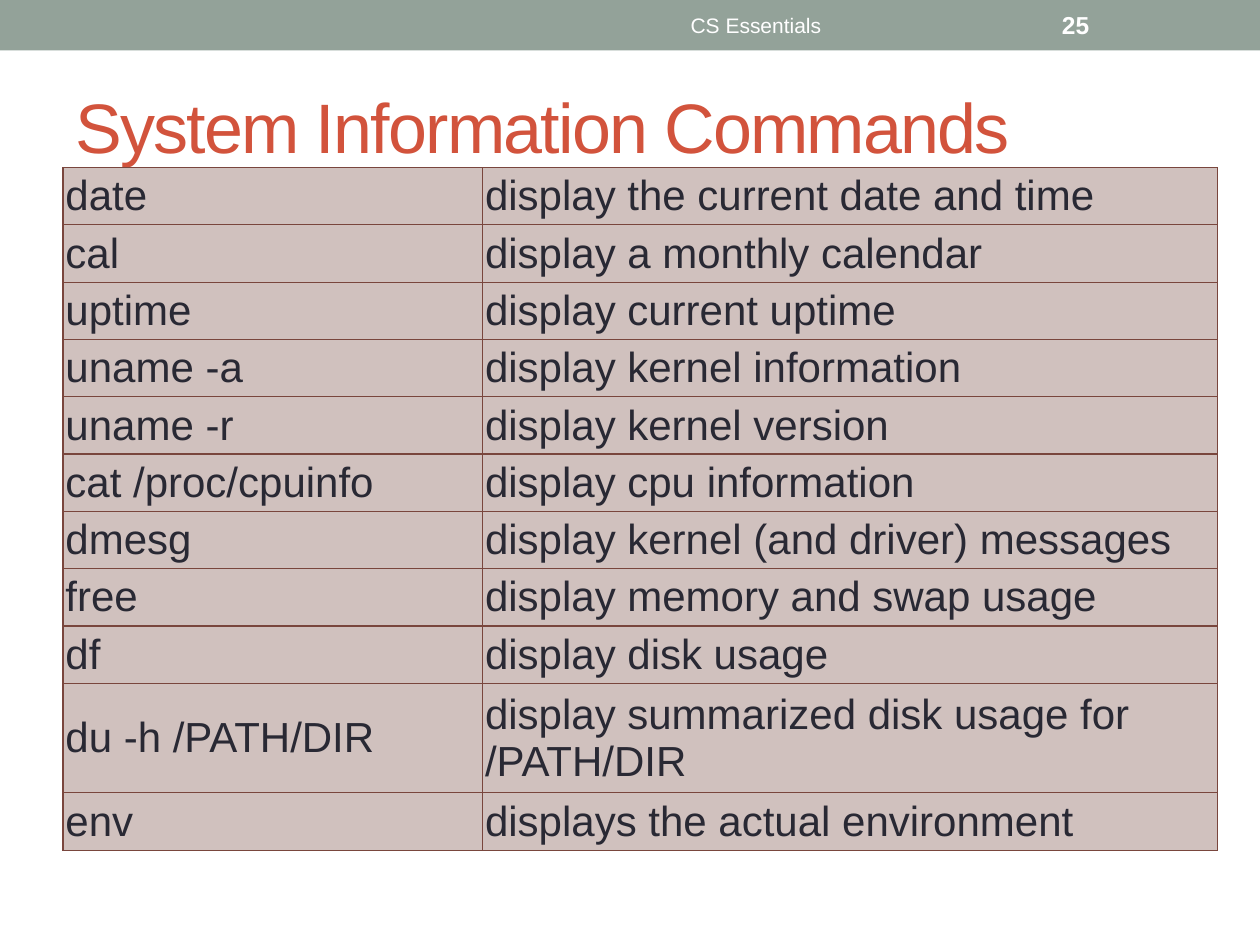
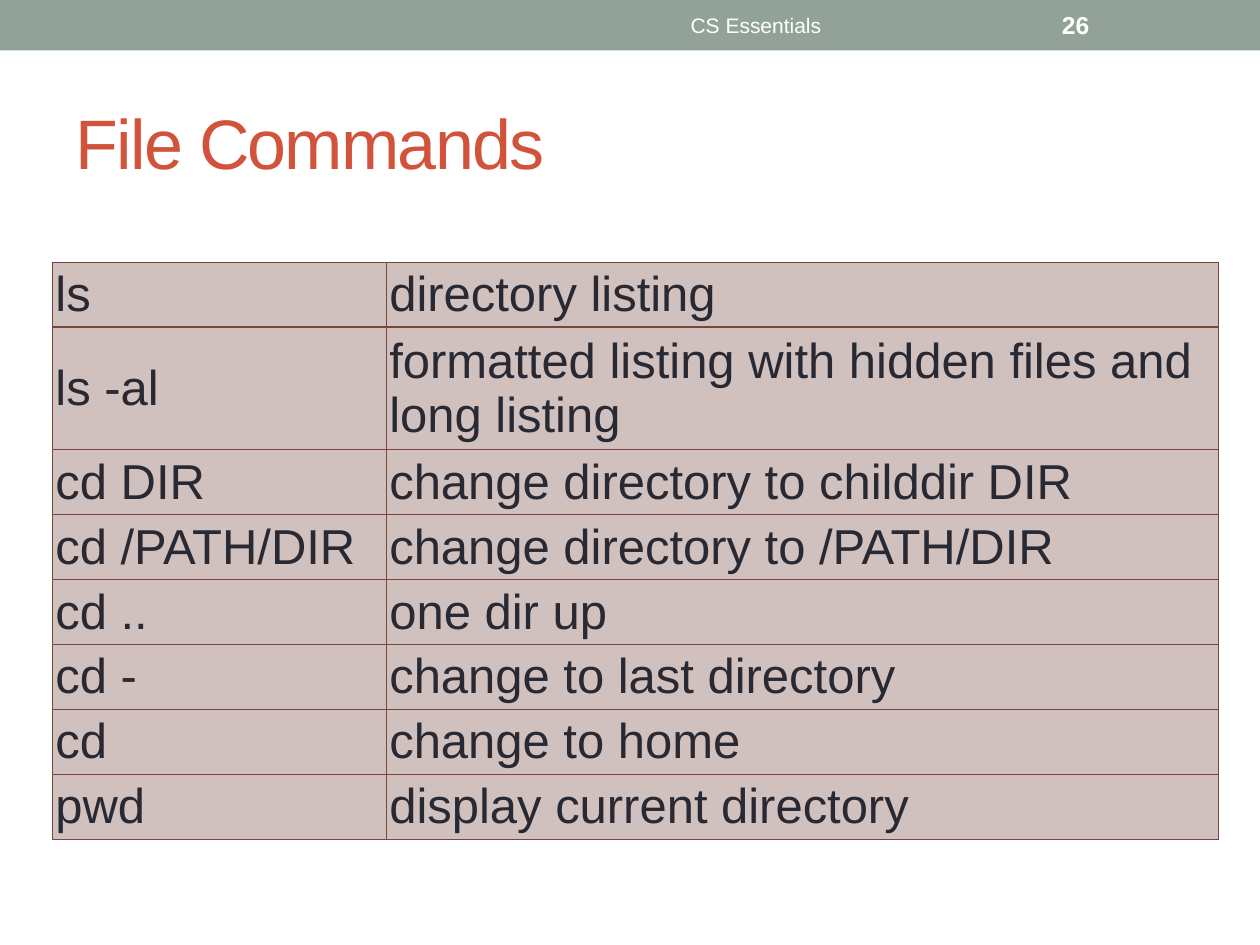
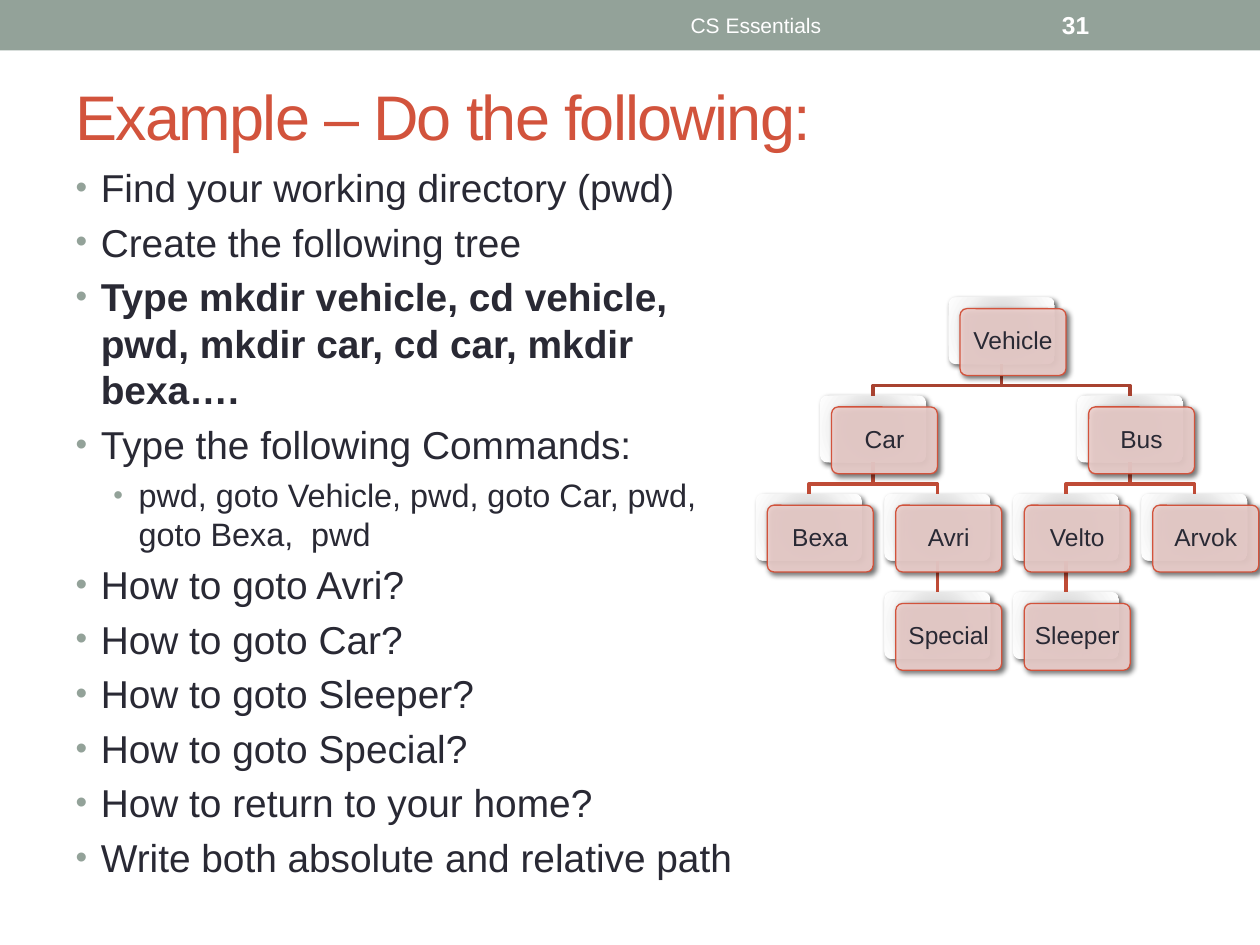
from dataclasses import dataclass

from lxml import etree
from pptx import Presentation
from pptx.dml.color import RGBColor
from pptx.enum import shapes, text
from pptx.oxml.ns import qn
from pptx.util import Inches, Pt


@dataclass(frozen=True)
class Theme:
    font: str = "Arial"
    band: str = "93A299"
    title: str = "D2533C"
    body: str = "292934"
    white: str = "FFFFFF"
    cell: str = "D0C1BE"
    border: str = "79463D"
    card: str = "EED1CE"
    upper_line: str = "A84230"
    lower_line: str = "BF4B36"
    title_size: float = 40
    small_title_size: float = 36
    list_size: float = 22.2
    sublist_size: float = 18.5
    label_size: float = 14
    footer_size: float = 12


theme = Theme()


def add_xml(parent, tag, **attributes):
    return etree.SubElement(parent, qn(tag), attributes)


def write(paragraph, words, size, color, bold=False):
    run = paragraph.add_run()
    run.text = words
    run.font.name = theme.font
    run.font.size = Pt(size)
    run.font.bold = bold
    run.font.color.rgb = RGBColor.from_string(color)
    return run


# Content
information_rows = [
    ("date", "display the current date and time"),
    ("cal", "display a monthly calendar"),
    ("uptime", "display current uptime"),
    ("uname -a", "display kernel information"),
    ("uname -r", "display kernel version"),
    ("cat /proc/cpuinfo", "display cpu information"),
    ("dmesg", "display kernel (and driver) messages"),
    ("free", "display memory and swap usage"),
    ("df", "display disk usage"),
    ("du -h /PATH/DIR", "display summarized disk usage for /PATH/DIR"),
    ("env", "displays the actual environment"),
]
file_rows = [
    ("ls", "directory listing"),
    ("ls -al", "formatted listing with hidden files and long listing"),
    ("cd DIR", "change directory to childdir DIR"),
    ("cd /PATH/DIR", "change directory to /PATH/DIR"),
    ("cd ..", "one dir up"),
    ("cd -", "change to last directory"),
    ("cd", "change to home"),
    ("pwd", "display current directory"),
]
# Level, words, bold
tasks = [
    (0, "Find your working directory (pwd)", False),
    (0, "Create the following tree", False),
    (0, "Type mkdir vehicle, cd vehicle, pwd, mkdir car, cd car, mkdir bexa….", True),
    (0, "Type the following Commands:", False),
    (1, "pwd, goto Vehicle, pwd, goto Car, pwd, goto Bexa,  pwd", False),
    (0, "How to goto Avri?", False),
    (0, "How to goto Car?", False),
    (0, "How to goto Sleeper?", False),
    (0, "How to goto Special?", False),
    (0, "How to return to your home?", False),
    (0, "Write both absolute and relative path", False),
]
# Name: column, row, parent
tree = {
    "Vehicle": (3, 0, None),
    "Car": (1, 1, "Vehicle"),
    "Bus": (5, 1, "Vehicle"),
    "Bexa": (0, 2, "Car"),
    "Avri": (2, 2, "Car"),
    "Velto": (4, 2, "Bus"),
    "Arvok": (6, 2, "Bus"),
    "Special": (2, 3, "Avri"),
    "Sleeper": (4, 3, "Velto"),
}

presentation = Presentation()
presentation.slide_width = Inches(10)
presentation.slide_height = Inches(7.5)
title_and_content, title_only = (presentation.slide_layouts[i] for i in (1, 5))

# Titles and footers
slides = []
for layout, number, heading, height, size in [
    (title_only, "25", "System Information Commands", 0.83, theme.title_size),
    (title_only, "26", "File Commands", 1.08, theme.title_size),
    (title_and_content, "31", "Example – Do the following:", 0.67, theme.small_title_size),
]:
    slide = presentation.slides.add_slide(layout)
    slides.append(slide)
    title = slide.shapes.title
    title.left, title.top = Inches(0.5), Inches(0.58)
    title.width, title.height = Inches(9), Inches(height)
    frame = title.text_frame
    frame.auto_size = text.MSO_AUTO_SIZE.NONE
    frame.vertical_anchor = text.MSO_ANCHOR.MIDDLE
    frame.paragraphs[0].alignment = text.PP_ALIGN.LEFT
    run = write(frame.paragraphs[0], heading, size, theme.title)
    run.font._element.set("spc", "-100")

    for words, left, width, alignment, size, bold in [
        ("CS Essentials", 3.75, 4.5, text.PP_ALIGN.CENTER, theme.footer_size, False),
        (number, 8.33, 1.17, text.PP_ALIGN.LEFT, theme.label_size, True),
    ]:
        footer = slide.shapes.add_textbox(Inches(left), Inches(0.02), Inches(width), Inches(0.36))
        frame = footer.text_frame
        frame.word_wrap = True
        frame.vertical_anchor = text.MSO_ANCHOR.MIDDLE
        frame.paragraphs[0].alignment = alignment
        write(frame.paragraphs[0], words, size, theme.white, bold)

# Top band, moved to the master so that every slide shows it
band = slides[0].shapes.add_shape(
    shapes.MSO_SHAPE.RECTANGLE, 0, 0, presentation.slide_width, Inches(0.4))
band.shadow.inherit = False
band.fill.solid()
band.fill.fore_color.rgb = RGBColor.from_string(theme.band)
band.line.fill.background()
presentation.slide_master.shapes.element.insert(2, band.element)

# Command tables: all rows are equal but the one that takes two lines
for slide, rows, left, top, height, columns, tall_row, tall_height, size in [
    (slides[0], information_rows, 0.5, 1.33, 5.42, (3.33, 5.83), 9, 0.87, 24),
    (slides[1], file_rows, 0.42, 2.08, 4.58, (2.65, 6.6), 1, 0.97, 28),
]:
    table = slide.shapes.add_table(
        len(rows), 2, Inches(left), Inches(top), Inches(sum(columns)), Inches(height)).table
    table.first_row = table.horz_banding = False
    for column, width in zip(table.columns, columns):
        column.width = Inches(width)
    row_height = (height - tall_height) / (len(rows) - 1)
    for row_index, row in enumerate(rows):
        table.rows[row_index].height = Inches(
            tall_height if row_index == tall_row else row_height)
        for column_index, words in enumerate(row):
            cell = table.cell(row_index, column_index)
            cell.margin_left = cell.margin_right = Inches(0.02)
            cell.margin_top = cell.margin_bottom = Inches(0.02)
            cell.vertical_anchor = text.MSO_ANCHOR.MIDDLE
            write(cell.text_frame.paragraphs[0], words, size, theme.body)
            properties = cell._tc.get_or_add_tcPr()
            for side in ("a:lnL", "a:lnR", "a:lnT", "a:lnB"):
                border = add_xml(properties, side, w=str(Pt(0.75)))
                add_xml(add_xml(border, "a:solidFill"), "a:srgbClr", val=theme.border)
            cell.fill.solid()
            cell.fill.fore_color.rgb = RGBColor.from_string(theme.cell)

# Task list
slide = slides[2]
body = slide.placeholders[1]
body.left, body.top = Inches(0.5), Inches(1.25)
body.width, body.height = Inches(5.42), Inches(5.75)
frame = body.text_frame
frame.auto_size = text.MSO_AUTO_SIZE.NONE
for index, (level, words, bold) in enumerate(tasks):
    paragraph = frame.paragraphs[0] if index == 0 else frame.add_paragraph()
    paragraph.level = level
    paragraph.line_spacing = 1.0
    paragraph.space_before = Pt(4.5 if index else 0)
    properties = paragraph._p.get_or_add_pPr()
    properties.set("marL", str(Inches((0.2, 0.5)[level])))
    properties.set("indent", str(Inches(-0.2)))
    add_xml(add_xml(properties, "a:buClr"), "a:srgbClr", val=theme.band)
    add_xml(properties, "a:buSzPct", val="85000")
    add_xml(properties, "a:buFont", typeface=theme.font)
    add_xml(properties, "a:buChar", char="•")
    write(paragraph, words, (theme.list_size, theme.sublist_size)[level], theme.body, bold)

# Directory tree: a pale card behind and a labelled card in front for each node
card_width, card_height, card_offset = 0.84, 0.53, 0.09
places = {name: (6 + 0.51 * column, 2.36 + 0.78 * row)
          for name, (column, row, parent) in tree.items()}
cards = {}
for offset in (0, card_offset):
    for name, (left, top) in places.items():
        card = slide.shapes.add_shape(
            shapes.MSO_SHAPE.ROUNDED_RECTANGLE, Inches(left + offset), Inches(top + offset),
            Inches(card_width), Inches(card_height))
        card.adjustments[0] = 0.1
        card.shadow.inherit = False
        properties = card.element.spPr
        shadow = add_xml(properties.find(qn("a:effectLst")), "a:outerShdw",
                         blurRad=str(Pt(3)), dist=str(Pt(2)), dir="2700000")
        add_xml(add_xml(shadow, "a:srgbClr", val="000000"), "a:alpha", val="60000")
        if offset:
            card.fill.solid()
            card.fill.fore_color.rgb = RGBColor.from_string(theme.card)
            add_xml(properties.find(qn("a:solidFill"))[0], "a:alpha", val="90000")
            card.line.color.rgb = RGBColor.from_string(theme.title)
            card.line.width = Pt(0.75)
            frame = card.text_frame
            frame.word_wrap = False
            frame.margin_left = frame.margin_right = Inches(0.06)
            frame.margin_top = frame.margin_bottom = Inches(0.06)
            frame.vertical_anchor = text.MSO_ANCHOR.MIDDLE
            frame.paragraphs[0].alignment = text.PP_ALIGN.CENTER
            frame.paragraphs[0].line_spacing = 0.9
            write(frame.paragraphs[0], name, theme.label_size, theme.body)
        else:
            cards[name] = card
            card.line.fill.background()
            card.fill.background()
            gradient = add_xml(properties, "a:gradFill", rotWithShape="1")
            properties.replace(properties.find(qn("a:noFill")), gradient)
            stops = add_xml(gradient, "a:gsLst")
            for position, color in [(0, "DADADA"), (34, "DADADA"), (70, "F4F4F4"), (100, "FFFFFF")]:
                stop = add_xml(stops, "a:gs", pos=str(position * 1000))
                add_xml(stop, "a:srgbClr", val=color)
            center = add_xml(gradient, "a:path", path="circle")
            add_xml(center, "a:fillToRect", l="100000", t="100000", r="100000", b="100000")

    # Branches lie between the pale cards and the labelled ones
    if offset:
        continue
    for name, (column, row, parent) in tree.items():
        if parent is None:
            continue
        if column == tree[parent][0]:
            branch = slide.shapes.add_connector(shapes.MSO_CONNECTOR.STRAIGHT, 0, 0, 0, 0)
            branch.begin_connect(cards[parent], 2)
            branch.end_connect(cards[name], 0)
            add_xml(branch.element.spPr, "a:effectLst")
        else:
            start_x = Inches(places[parent][0] + card_width / 2)
            start_y = Inches(places[parent][1] + card_height)
            end_x = Inches(places[name][0] + card_width / 2)
            end_y = Inches(places[name][1])
            bend_y = end_y - Inches(0.08)
            builder = slide.shapes.build_freeform(start_x, start_y)
            builder.add_line_segments(
                [(start_x, bend_y), (end_x, bend_y), (end_x, end_y)], close=False)
            branch = builder.convert_to_shape()
            branch.shadow.inherit = False
            branch.fill.background()
        branch.line.color.rgb = RGBColor.from_string(
            theme.upper_line if row == 1 else theme.lower_line)
        branch.line.width = Pt(2)

presentation.save("out.pptx")
